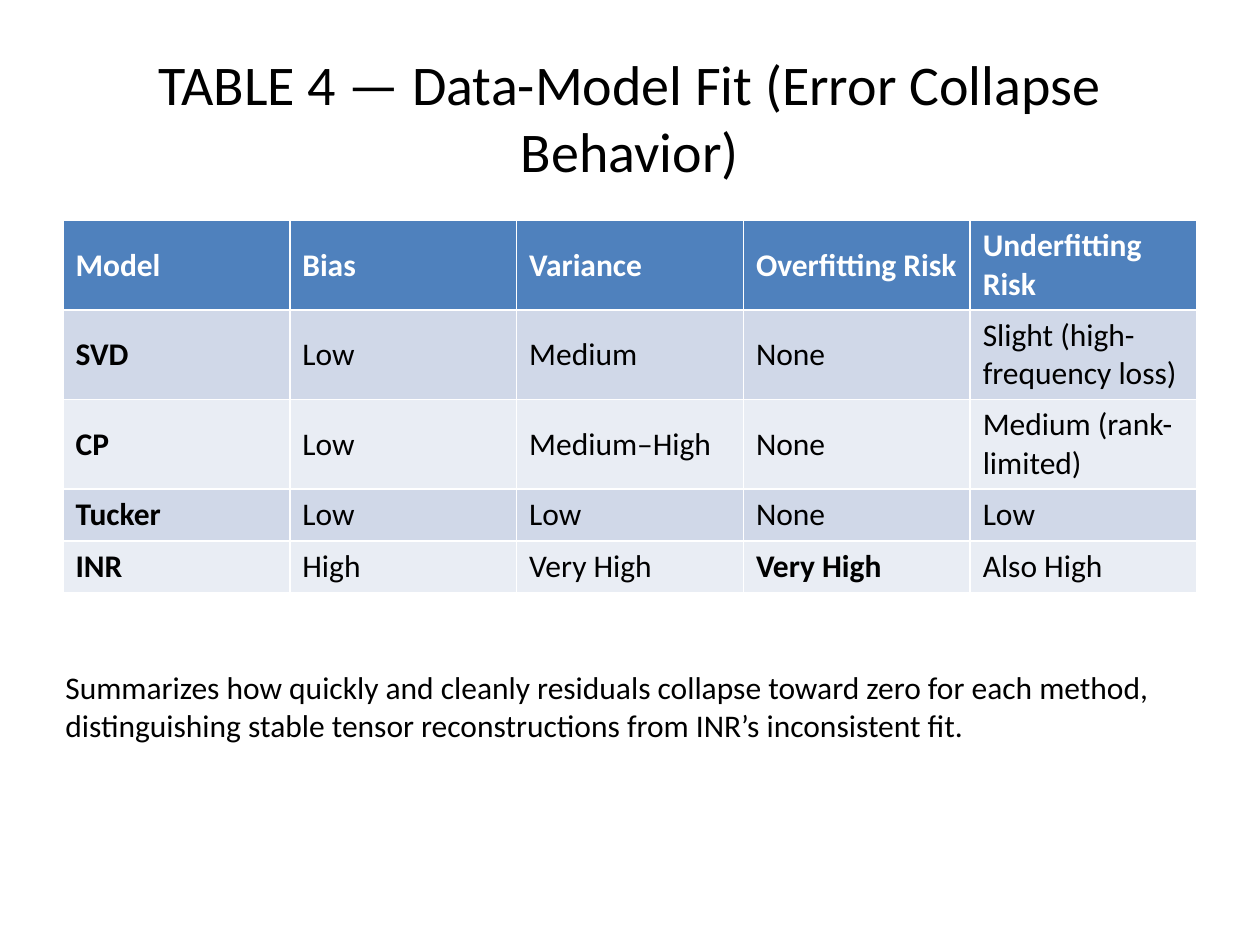
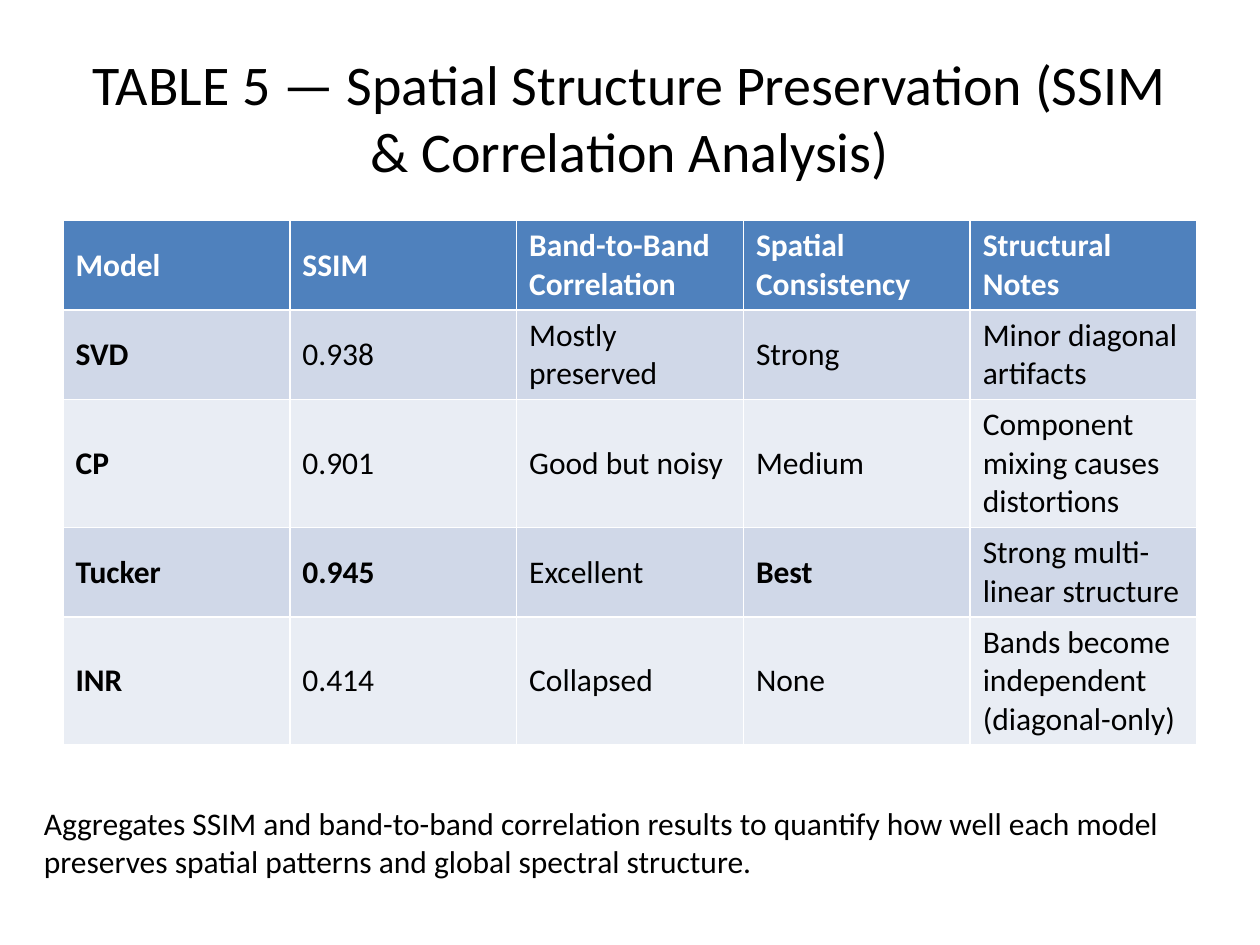
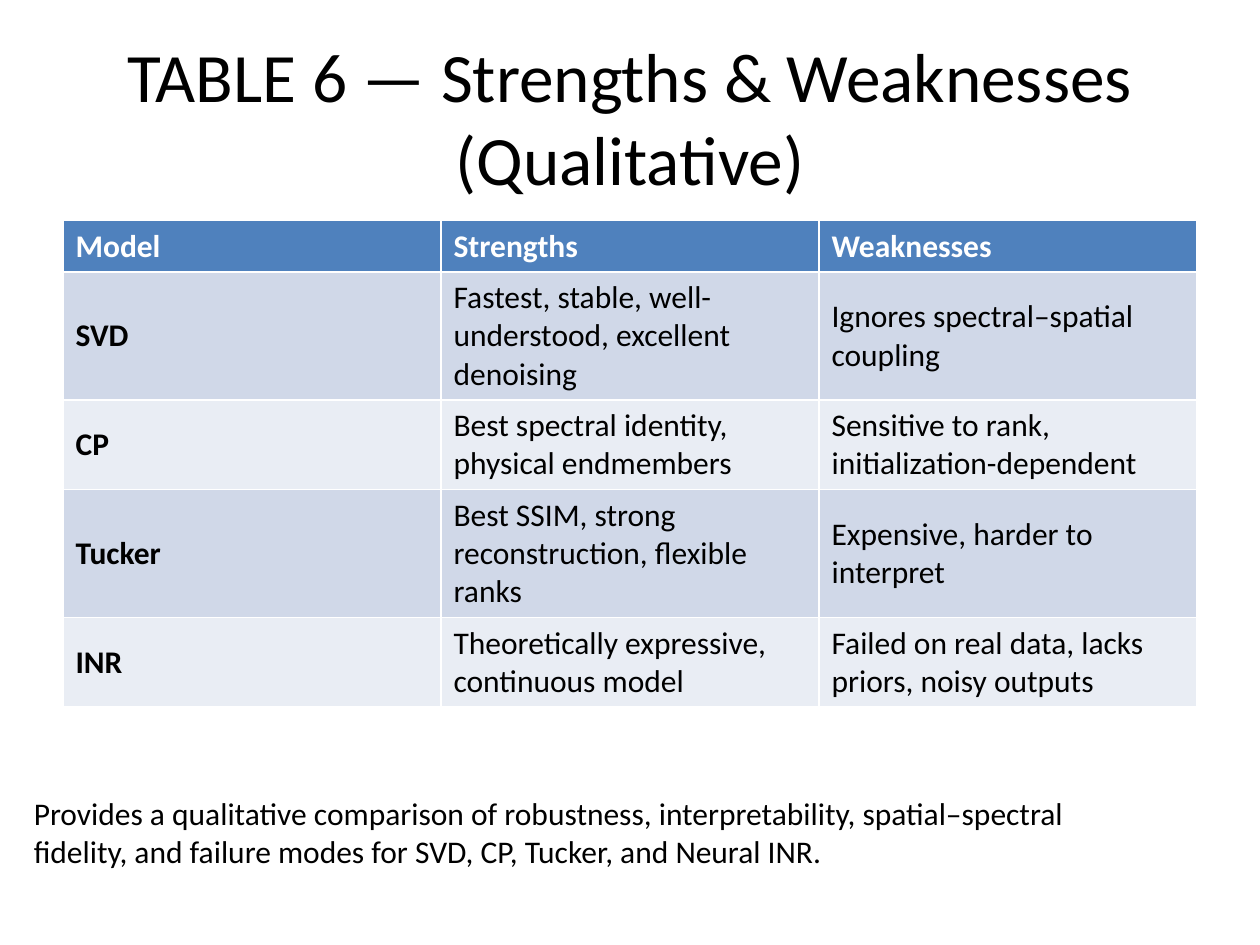
from dataclasses import dataclass

from pptx import Presentation
from pptx.dml.color import RGBColor
from pptx.enum.text import MSO_ANCHOR, MSO_AUTO_SIZE, PP_ALIGN
from pptx.util import Inches, Pt

MIDDLE = MSO_ANCHOR.MIDDLE
CENTER = PP_ALIGN.CENTER
NO_FIT = MSO_AUTO_SIZE.NONE
GROW = MSO_AUTO_SIZE.SHAPE_TO_FIT_TEXT


@dataclass(frozen=True)
class Theme:
    font: str = "Calibri"
    ink: str = "000000"
    paper: str = "FFFFFF"
    head: str = "4F81BD"
    bands: tuple = ("E9EDF4", "D0D8E8")
    title: float = 32
    large: float = 39.6
    body: float = 18


theme = Theme()
WIDTH, HEIGHT = Inches(10), Inches(7.5)
MARGIN = WIDTH // 20
INNER = WIDTH - 2 * MARGIN
ROW = Inches(0.41)

# A leading * marks a value in bold.
SLIDES = [
    {
        "title": "TABLE 4 — Data-Model Fit (Error Collapse Behavior)",
        "size": theme.title,
        "rows": [
            ["Model", "Bias", "Variance", "Overfitting Risk", "Underfitting Risk"],
            ["SVD", "Low", "Medium", "None", "Slight (high-frequency loss)"],
            ["CP", "Low", "Medium–High", "None", "Medium (rank-limited)"],
            ["Tucker", "Low", "Low", "None", "Low"],
            ["INR", "High", "Very High", "*Very High", "Also High"],
        ],
        "note": "Summarizes how quickly and cleanly residuals collapse toward zero "
                "for each method, distinguishing stable tensor reconstructions "
                "from INR’s inconsistent fit.",
        "place": (0.42, 5.25, 9.42),
    },
    {
        "title": "TABLE 5 — Spatial Structure Preservation (SSIM & Correlation Analysis)",
        "size": theme.title,
        "rows": [
            ["Model", "SSIM", "Band-to-Band Correlation", "Spatial Consistency",
             "Structural Notes"],
            ["SVD", "0.938", "Mostly preserved", "Strong", "Minor diagonal artifacts"],
            ["CP", "0.901", "Good but noisy", "Medium",
             "Component mixing causes distortions"],
            ["Tucker", "*0.945", "Excellent", "*Best", "Strong multi-linear structure"],
            ["INR", "0.414", "Collapsed", "None",
             "Bands become independent (diagonal-only)"],
        ],
        "note": "Aggregates SSIM and band-to-band correlation results to quantify "
                "how well each model preserves spatial patterns and global "
                "spectral structure.",
        "place": (0.25, 6.33, 9.5),
    },
    {
        "title": "TABLE 6 — Strengths & Weaknesses (Qualitative)",
        "size": theme.large,
        "rows": [
            ["Model", "Strengths", "Weaknesses"],
            ["SVD", "Fastest, stable, well-understood, excellent denoising",
             "Ignores spectral–spatial coupling"],
            ["CP", "Best spectral identity, physical endmembers",
             "Sensitive to rank, initialization-dependent"],
            ["Tucker", "Best SSIM, strong reconstruction, flexible ranks",
             "Expensive, harder to interpret"],
            ["INR", "Theoretically expressive, continuous model",
             "Failed on real data, lacks priors, noisy outputs"],
        ],
        "note": "Provides a qualitative comparison of robustness, interpretability, "
                "spatial–spectral fidelity, and failure modes for SVD, CP, Tucker, "
                "and Neural INR.",
        "place": (0.17, 6.25, 9.17),
    },
]


def write(frame, text, size, color=theme.ink, bold=False):
    frame.text = text
    font = frame.paragraphs[0].runs[0].font
    font.name, font.size, font.bold = theme.font, Pt(size), bold
    font.color.rgb = RGBColor.from_string(color)


deck = Presentation()
deck.slide_width, deck.slide_height = WIDTH, HEIGHT
layout = deck.slide_layouts.get_by_name("Title Only")

for item in SLIDES:
    slide = deck.slides.add_slide(layout)

    title = slide.shapes.title
    title.left, title.top = MARGIN, Inches(0.3)
    title.width, title.height = INNER, HEIGHT // 6
    frame = title.text_frame
    write(frame, item["title"], item["size"])
    frame.word_wrap, frame.auto_size = True, NO_FIT
    frame.vertical_anchor = MIDDLE
    frame.paragraphs[0].alignment = CENTER

    rows = item["rows"]
    count = len(rows[0])
    table = slide.shapes.add_table(len(rows), count, MARGIN, Inches(1.75),
                                   INNER, ROW * len(rows)).table
    for col in table.columns:
        col.width = INNER // count
    for r, row in enumerate(rows):
        table.rows[r].height = ROW
        fill = theme.bands[r % 2] if r else theme.head
        color = theme.ink if r else theme.paper
        for c, text in enumerate(row):
            cell = table.cell(r, c)
            bold = r == 0 or c == 0 or text.startswith("*")
            write(cell.text_frame, text.lstrip("*"), theme.body, color, bold)
            cell.vertical_anchor = MIDDLE
            cell.fill.solid()
            cell.fill.fore_color.rgb = RGBColor.from_string(fill)

    left, top, width = item["place"]
    note = slide.shapes.add_textbox(Inches(left), Inches(top), Inches(width), Inches(0.71))
    write(note.text_frame, item["note"], theme.body)
    note.text_frame.word_wrap, note.text_frame.auto_size = True, GROW

deck.save("out.pptx")
